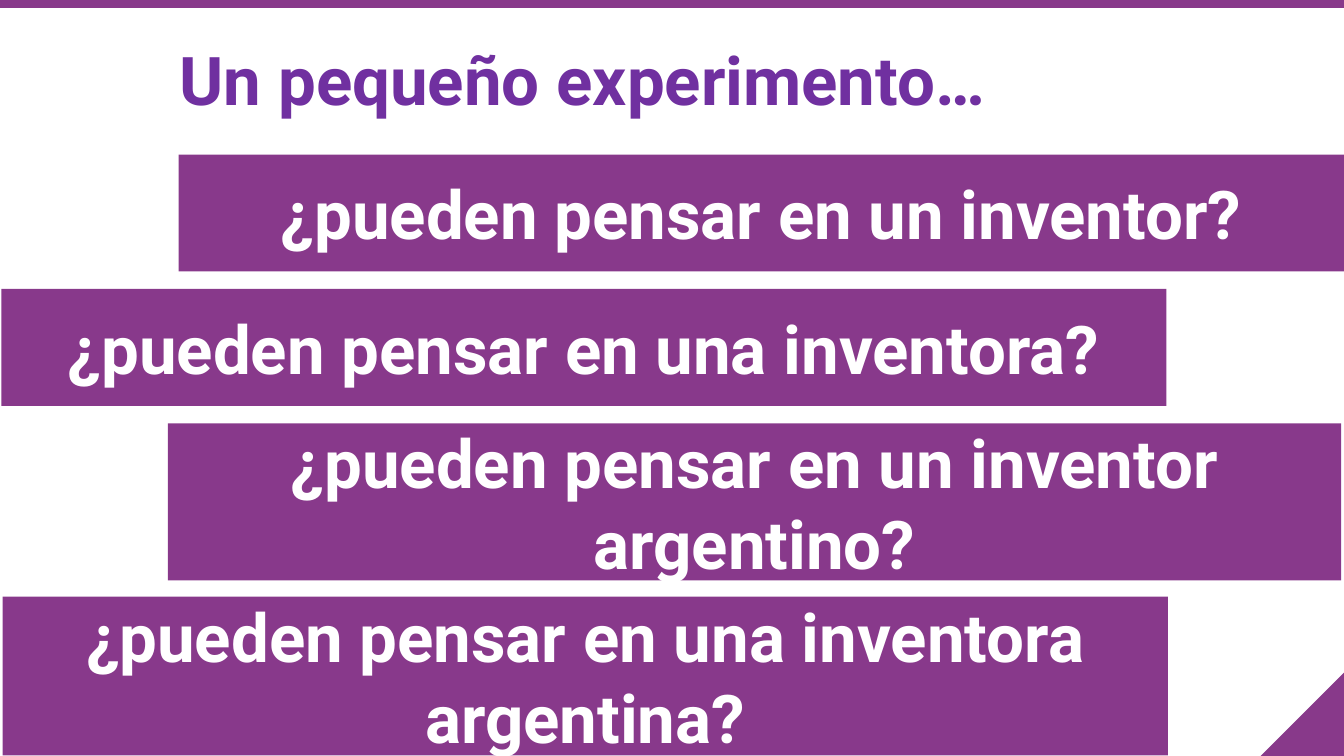
from pptx import Presentation
from pptx.dml.color import RGBColor
from pptx.enum.shapes import MSO_SHAPE
from pptx.enum.text import MSO_ANCHOR, MSO_AUTO_SIZE, PP_ALIGN
from pptx.util import Inches, Pt

# Content
TITLE = "Un pequeño experimento…"
ASKS = [  # text, left, top, width, height
    ("¿pueden pensar en un inventor?", 1.33, 1.15, 8.67, 0.87),
    ("¿pueden pensar en una inventora?", 0.01, 2.15, 8.67, 0.87),
    ("¿pueden pensar en un inventor argentino?", 1.25, 3.15, 8.73, 1.17),
    ("¿pueden pensar en una inventora argentina?", 0.02, 4.44, 8.67, 1.18),
]
WIDE = 10
HIGH = WIDE * 9 / 16
EDGE, BAND, WHITE, VIOLET = "88398A", "88398B", "FFFFFF", "7030A0"
SIDE = 0.62


def paint(item, color):
    item.fill.solid()
    item.fill.fore_color.rgb = RGBColor.from_string(color)


def block(kind, left, top, width, height, color):
    item = slide.shapes.add_shape(
        kind, Inches(left), Inches(top), Inches(width), Inches(height))
    item.shadow.inherit = False
    item.line.fill.background()
    paint(item, color)
    return item


def write(item, text, color=WHITE, size=36, face="Roboto", bold=True):
    frame = item.text_frame
    frame.word_wrap = True
    frame.auto_size = MSO_AUTO_SIZE.NONE
    frame.vertical_anchor = MSO_ANCHOR.MIDDLE
    frame.margin_left = frame.margin_right = Inches(0.06)
    frame.margin_top = frame.margin_bottom = Inches(0.06)
    para = frame.paragraphs[0]
    para.alignment = PP_ALIGN.CENTER
    run = para.add_run()
    run.text = text
    run.font.name, run.font.size, run.font.bold = face, Pt(size), bold
    run.font.color.rgb = RGBColor.from_string(color)


deck = Presentation()
deck.slide_width, deck.slide_height = Inches(WIDE), Inches(HIGH)
slide = deck.slides.add_slide(deck.slide_layouts[5])

# Top bar and corner
block(MSO_SHAPE.RECTANGLE, 0, 0, WIDE, 0.06, EDGE)
corner = block(MSO_SHAPE.RIGHT_TRIANGLE, WIDE - SIDE, HIGH - SIDE,
               SIDE, SIDE, EDGE)
corner.rotation = 270

# Title
title = slide.shapes.title
title.left, title.top = Inches(0), Inches(0.15)
title.width, title.height = Inches(8.67), Inches(0.87)
paint(title, WHITE)
write(title, TITLE, color=VIOLET)

# Question bands
for text, *place in ASKS:
    write(block(MSO_SHAPE.RECTANGLE, *place, BAND), text)

deck.save("out.pptx")
